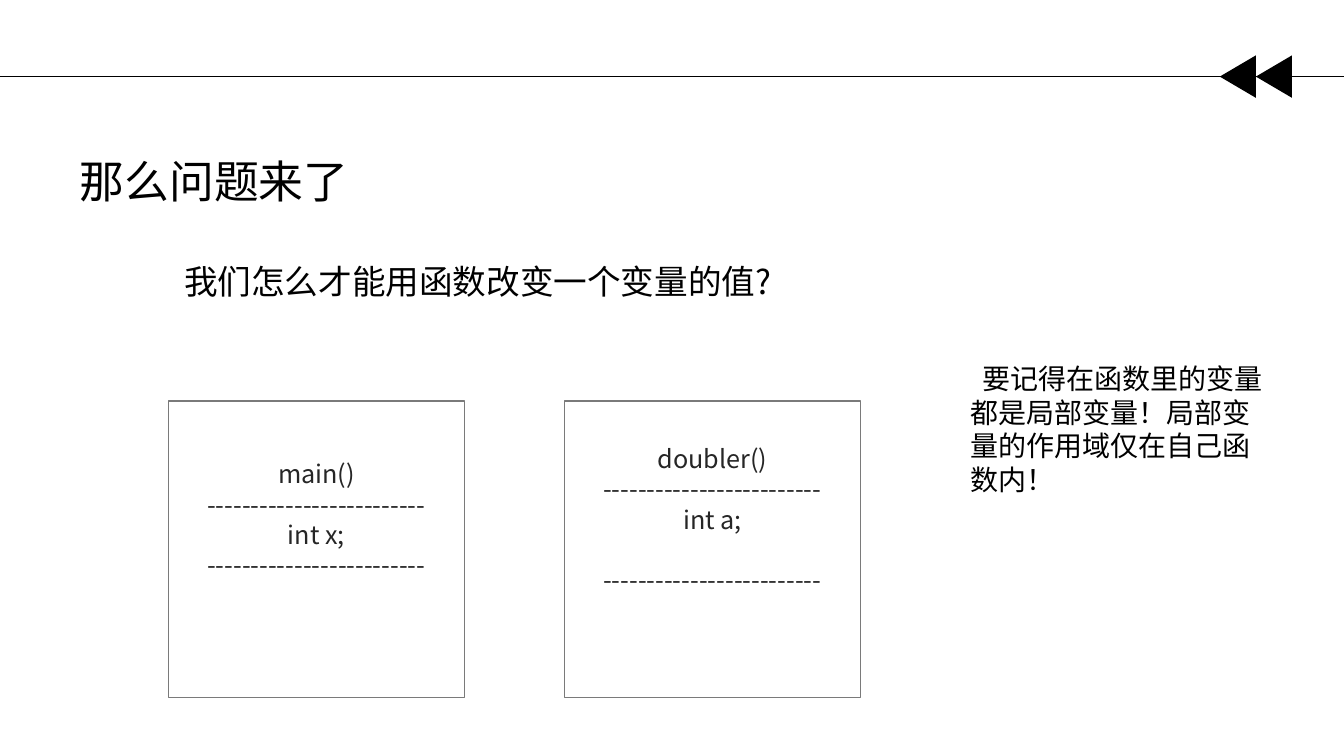
from dataclasses import dataclass

from lxml import etree
from pptx import Presentation
from pptx.dml.color import RGBColor
from pptx.enum.shapes import MSO_CONNECTOR, MSO_SHAPE
from pptx.enum.text import MSO_ANCHOR, MSO_AUTO_SIZE, PP_ALIGN
from pptx.oxml.ns import qn
from pptx.util import Cm, Pt

STRAIGHT = MSO_CONNECTOR.STRAIGHT
RECTANGLE = MSO_SHAPE.RECTANGLE
TRIANGLE = MSO_SHAPE.ISOSCELES_TRIANGLE
MIDDLE, BOTTOM, TOP = MSO_ANCHOR.MIDDLE, MSO_ANCHOR.BOTTOM, MSO_ANCHOR.TOP
NO_AUTOFIT = MSO_AUTO_SIZE.NONE
CENTER, LEFT = PP_ALIGN.CENTER, PP_ALIGN.LEFT

TITLE = "那么问题来了"
QUESTION = "我们怎么才能用函数改变一个变量的值?"
NOTE = "要记得在函数里的变量都是局部变量！局部变量的作用域仅在自己函数内！"
DIVIDER = "-" * 25
FUNCTIONS = [
    {"name": "main()", "variable": "int x;", "gap_lines": 0},
    {"name": "doubler()", "variable": "int a;", "gap_lines": 1},
]


@dataclass(frozen=True)
class Theme:
    font: str = "Noto Sans CJK SC"
    black: RGBColor = RGBColor(0x00, 0x00, 0x00)
    white: RGBColor = RGBColor(0xFF, 0xFF, 0xFF)
    frame: RGBColor = RGBColor(0x7A, 0x7A, 0x7A)
    code: RGBColor = RGBColor(0x26, 0x26, 0x26)
    title_size: int = 32
    question_size: int = 24
    note_size: int = 20
    code_size: int = 18
    leading: float = 1.2


THEME = Theme()
CODE_LINE = THEME.code_size * THEME.leading

SLIDE_WIDTH, SLIDE_HEIGHT = 33.87, 19.05
RULE_TOP = 1.93
ARROW_WIDTH, ARROW_HEIGHT = 1.07, 0.91
ARROW_LEFT, ARROW_COUNT = 30.66, 2
BOX_LEFT, BOX_TOP, BOX_SIZE, BOX_PITCH = 4.24, 10.11, 7.47, 9.98
BLANK_LINES_BELOW = 2


def style_paragraph(para, size, color, align, spacing):
    para.alignment = align
    para.line_spacing = spacing
    para.font.size = Pt(size)
    para.font.name = THEME.font
    para.font.color.rgb = color
    for span in para.runs:
        properties = span.font
        properties.name = THEME.font
        latin = span._r.get_or_add_rPr().find(qn("a:latin"))
        east_asian = etree.Element(qn("a:ea"), typeface=THEME.font)
        latin.addnext(east_asian)


def add_header(slide):
    rule = slide.shapes.add_connector(
        STRAIGHT, 0, Cm(RULE_TOP), Cm(SLIDE_WIDTH), Cm(RULE_TOP))
    rule.line.color.rgb = THEME.black
    rule.line.width = Pt(0.5)
    etree.SubElement(rule._element.spPr, qn("a:effectLst"))
    for index in range(ARROW_COUNT):
        arrow = slide.shapes.add_shape(
            TRIANGLE, Cm(ARROW_LEFT + index * ARROW_HEIGHT),
            Cm(RULE_TOP - ARROW_HEIGHT / 2), Cm(ARROW_WIDTH), Cm(ARROW_HEIGHT))
        arrow.rotation = 270
        arrow.shadow.inherit = False
        arrow.fill.solid()
        arrow.fill.fore_color.rgb = THEME.black
        arrow.line.fill.background()


def fill_title(slide):
    title = slide.shapes.title
    title.left, title.top = Cm(1.02), Cm(3.45)
    title.width, title.height = Cm(8.76), Cm(1.93)
    frame = title.text_frame
    frame.text = TITLE
    frame.vertical_anchor = BOTTOM
    frame.auto_size = NO_AUTOFIT
    style_paragraph(frame.paragraphs[0], THEME.title_size, THEME.black, CENTER, 0.9)


def add_text(slide, text, size, left, top, width, height):
    box = slide.shapes.add_textbox(Cm(left), Cm(top), Cm(width), Cm(height))
    frame = box.text_frame
    frame.word_wrap = True
    frame.vertical_anchor = TOP
    frame.text = text
    para = frame.paragraphs[0]
    style_paragraph(para, size, THEME.black, LEFT, Pt(size * THEME.leading))
    return para


def add_function_box(slide, index, function):
    box = slide.shapes.add_shape(
        RECTANGLE, Cm(BOX_LEFT + index * BOX_PITCH), Cm(BOX_TOP),
        Cm(BOX_SIZE), Cm(BOX_SIZE))
    box.shadow.inherit = False
    box.fill.solid()
    box.fill.fore_color.rgb = THEME.white
    box.line.color.rgb = THEME.frame
    box.line.width = Pt(1)
    frame = box.text_frame
    frame.word_wrap = True
    frame.vertical_anchor = MIDDLE
    frame.margin_bottom = Cm(0.13) + Pt(BLANK_LINES_BELOW * CODE_LINE)
    frame.text = "\n".join([function["name"], DIVIDER, function["variable"], DIVIDER])
    for para in frame.paragraphs:
        style_paragraph(para, THEME.code_size, THEME.code, CENTER, Pt(CODE_LINE))
    frame.paragraphs[-1].space_before = Pt(function["gap_lines"] * CODE_LINE)


def main():
    deck = Presentation()
    deck.slide_width, deck.slide_height = Cm(SLIDE_WIDTH), Cm(SLIDE_HEIGHT)
    title_only = deck.slide_layouts[5]
    slide = deck.slides.add_slide(title_only)
    add_header(slide)
    fill_title(slide)
    add_text(slide, QUESTION, THEME.question_size, 4.39, 6.45, 21.79, 1.27)
    for index, function in enumerate(FUNCTIONS):
        add_function_box(slide, index, function)
    note = add_text(slide, NOTE, THEME.note_size, 24.21, 8.99, 8.26, 3.68)
    note._p.get_or_add_pPr().set("indent", str(Cm(0.3)))
    deck.save("out.pptx")


if __name__ == "__main__":
    main()
